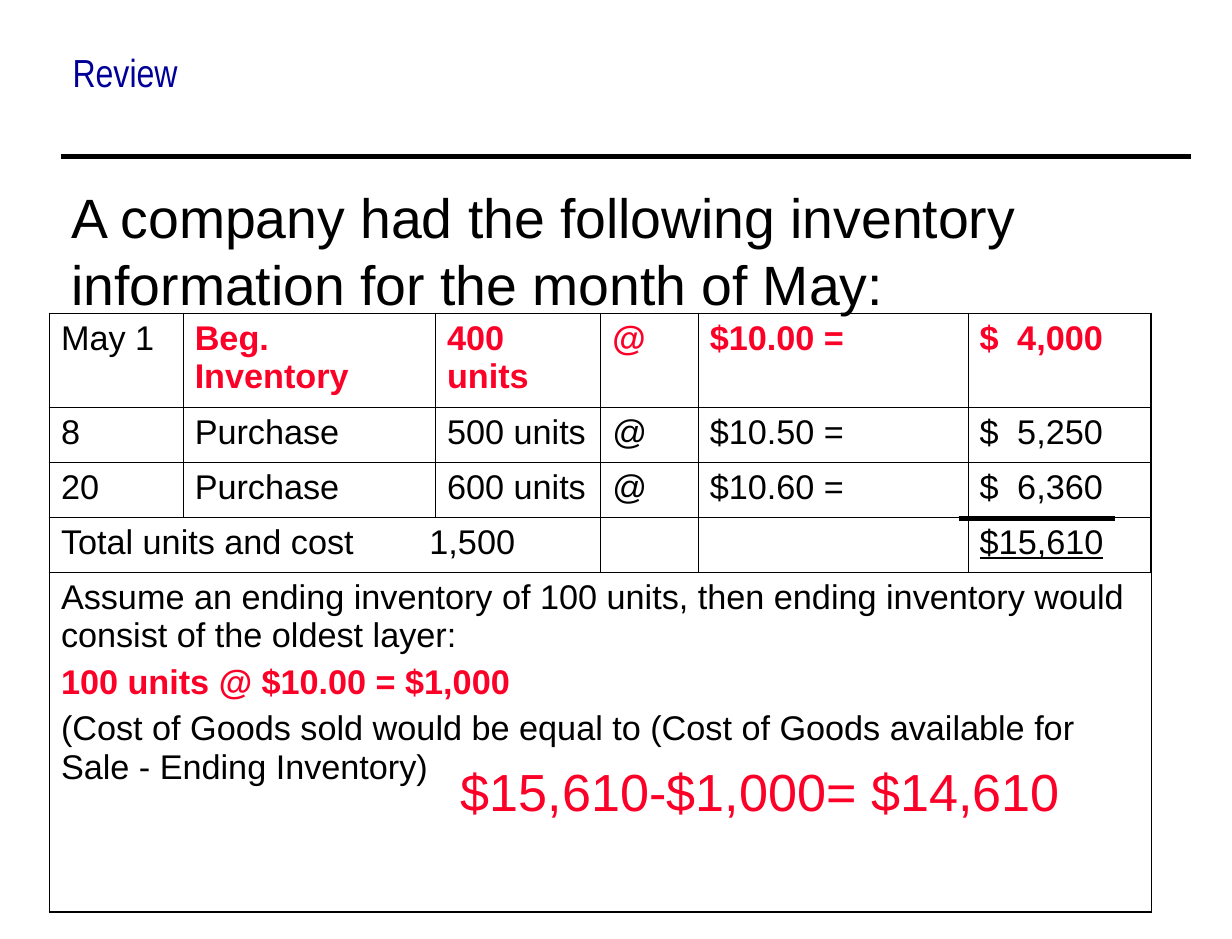
"""Build the May inventory review slide."""
from lxml.etree import SubElement
from pptx import Presentation
from pptx.dml.color import RGBColor
from pptx.enum.shapes import MSO_CONNECTOR as CONNECTOR
from pptx.enum.text import MSO_ANCHOR as ANCHOR
from pptx.oxml.ns import qn
from pptx.util import Inches, Pt

COLORS = {"black": "000000", "navy": "000099", "red": "FC0128"}


def write(frame, text, color="black", size=21, font="Arial", bold=False,
          underline=False, before=0, tab=None, add=False):
    paragraph = frame.add_paragraph() if add else frame.paragraphs[0]
    paragraph.space_before = Pt(before)
    if tab:
        tabs = SubElement(paragraph._p.get_or_add_pPr(), qn("a:tabLst"))
        SubElement(tabs, qn("a:tab"), pos=str(Inches(tab)), algn="l")
    run = paragraph.add_run()
    run.text = text
    run.font.name = font
    run.font.size = Pt(size)
    run.font.bold = bold
    run.font.underline = underline
    run.font.color.rgb = RGBColor.from_string(COLORS[color])


def add_border(cell, side, width):
    line = SubElement(cell._tc.get_or_add_tcPr(), qn(f"a:ln{side}"), w=str(Pt(width)))
    if width:
        fill = SubElement(line, qn("a:solidFill"))
        SubElement(fill, qn("a:srgbClr"), val=COLORS["black"])
    else:
        SubElement(line, qn("a:noFill"))


presentation = Presentation()
presentation.slide_width = Inches(10.5)
presentation.slide_height = Inches(8)
slide = presentation.slides.add_slide(presentation.slide_layouts[6])
shapes = slide.shapes

review = shapes.add_textbox(Inches(0.52), Inches(0.36), Inches(4.03), Inches(0.86))
review.text_frame.word_wrap = False
write(review.text_frame, "Review", color="navy", size=24, font="Arial Narrow")

title = shapes.add_textbox(Inches(0.5), Inches(1.33), Inches(9.48), Inches(1.6))
title.text_frame.word_wrap = True
title.text_frame.vertical_anchor = ANCHOR.MIDDLE
title.text_frame.margin_left = title.text_frame.margin_right = Inches(0.11)
write(title.text_frame,
      "A company had the following inventory information for the month of May:", size=34)

column_widths = [1.14, 2.15, 1.41, 0.83, 2.3, 1.56]
row_heights = [0.8, 0.47, 0.47, 0.47, 2.42, 0.47]
row_count, column_count = len(row_heights), len(column_widths)
table = shapes.add_table(row_count, column_count, Inches(0.42), Inches(2.67),
                         Inches(sum(column_widths)), Inches(sum(row_heights))).table
table.first_row = table.horz_banding = False
for column, width in zip(table.columns, column_widths):
    column.width = Inches(width)
for row, height in zip(table.rows, row_heights):
    row.height = Inches(height)

for row in range(row_count):
    for column in range(column_count):
        cell = table.cell(row, column)
        add_border(cell, "L", 1.08 if column == 0 else 0.45)
        add_border(cell, "R", 1.08 if column == column_count - 1 else 0.45)
        add_border(cell, "T", {0: 1.08, row_count - 1: 0}.get(row, 0.45))
        add_border(cell, "B", {row_count - 2: 0, row_count - 1: 1.08}.get(row, 0.45))
        cell.fill.background()

for row, last_column in [(3, 2), (4, 5), (5, 5)]:
    table.cell(row, 0).merge(table.cell(row, last_column))

inventory = [
    ["May 1", "Beg. Inventory", "400 units", "@", "$10.00 =", "$\t4,000"],
    ["8", "Purchase", "500 units", "@", "$10.50 =", "$\t5,250"],
    ["20", "Purchase", "600 units", "@", "$10.60 =", "$\t6,360"],
]
for row, values in enumerate(inventory):
    for column, value in enumerate(values):
        beginning = row == 0 and column > 0
        write(table.cell(row, column).text_frame, value, before=5.2, bold=beginning,
              color="red" if beginning else "black", tab=0.32 if "\t" in value else None)

write(table.cell(3, 0).text_frame, "Total units and cost\t1,500", before=5.2, tab=3.14)
write(table.cell(3, 5).text_frame, "$15,610", before=5.2, underline=True)

explanation = [
    ("Assume an ending inventory of 100 units, then ending inventory would "
     "consist of the oldest layer:", "black"),
    ("100 units @ $10.00 = $1,000", "red"),
    ("(Cost of Goods sold would be equal to (Cost of Goods available for "
     "Sale - Ending Inventory)", "black"),
]
for index, (text, color) in enumerate(explanation):
    write(table.cell(4, 0).text_frame, text, color=color, bold=color == "red",
          before=5.2, add=index > 0)

for left, right, top in [(0.52, 10.15, 1.33), (8.17, 9.5, 4.42)]:
    rule = shapes.add_connector(CONNECTOR.STRAIGHT, Inches(left), Inches(top),
                                Inches(right), Inches(top))
    rule.line.width = Pt(3)
    rule.line.color.rgb = RGBColor.from_string(COLORS["black"])
    SubElement(rule._element.spPr, qn("a:effectLst"))

answer = shapes.add_textbox(Inches(3.83), Inches(6.42), Inches(5.75), Inches(0.64))
answer.text_frame.word_wrap = True
write(answer.text_frame, "$15,610-$1,000= $14,610", color="red", size=32, before=20)

presentation.save("out.pptx")
